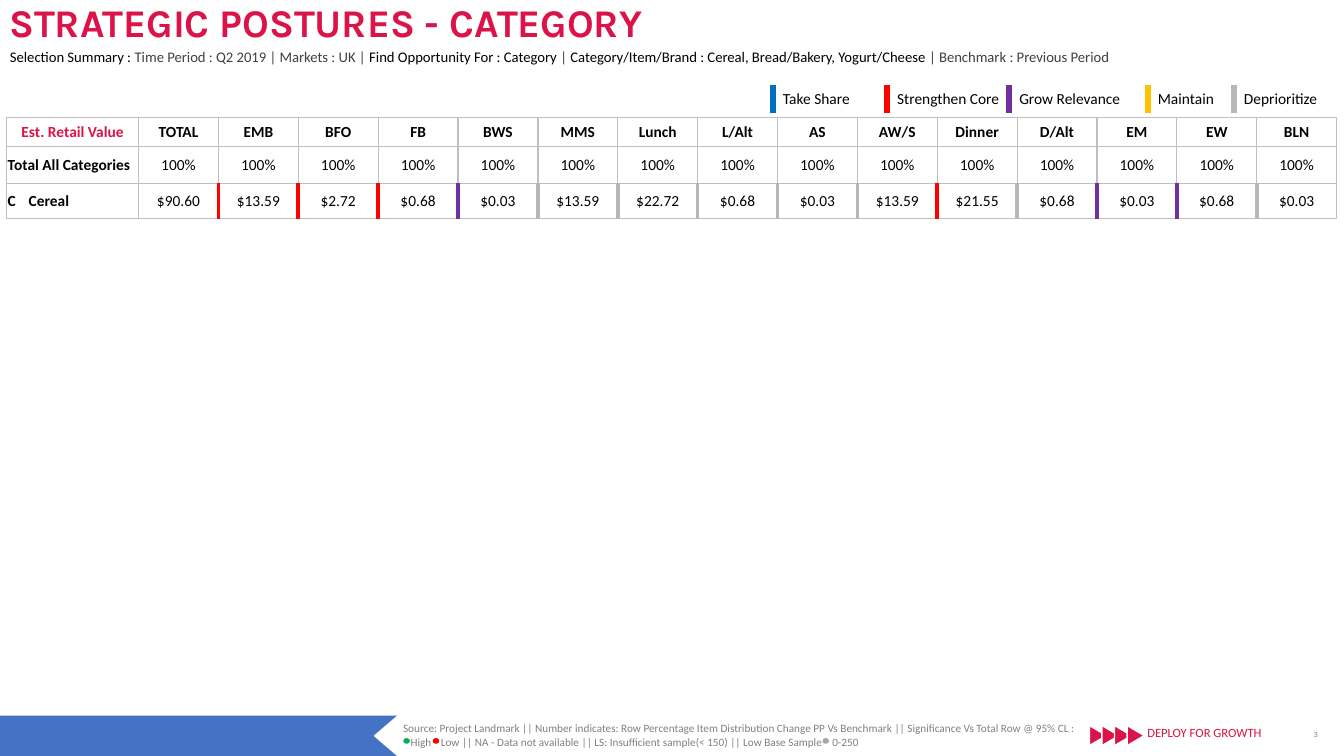
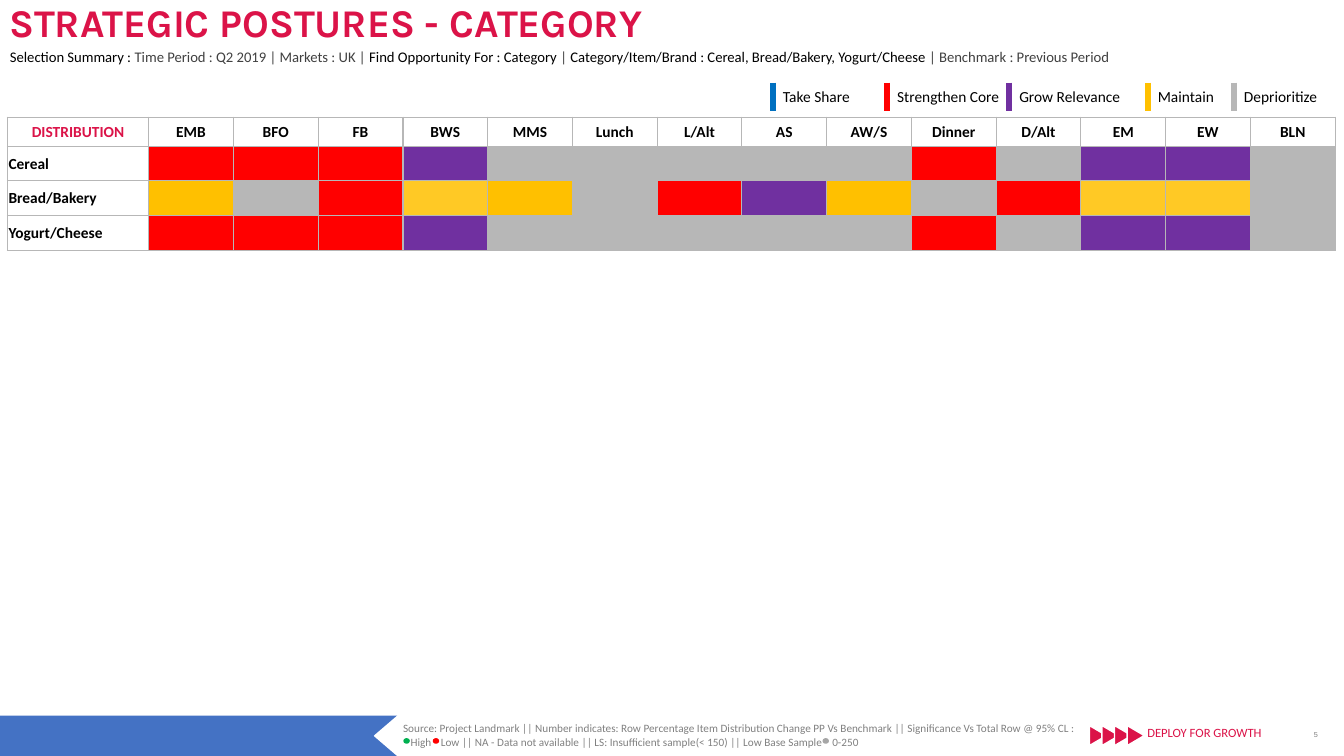
import lxml.etree
import pptx
import pptx.dml.color
import pptx.enum.shapes
import pptx.enum.text
import pptx.oxml.ns
import pptx.util

COLUMNS, ROWS = 160, 90
COLOURS = {
    "brand": "DB1348", "band": "4472C4", "white": "FFFFFF", "black": "000000",
    "dark": "404040", "muted": "808080", "rule": "BFBFBF",
    "high": "00B050", "low": "FF0000", "low base": "A6A6A6",
    "take share": "0070C0", "strengthen": "FF0000", "grow": "7030A0",
    "maintain": "FFC000", "maintain light": "FFC925", "deprioritize": "B7B7B7",
}
POSTURES = {"S": "strengthen", "G": "grow", "M": "maintain",
            "m": "maintain light", "D": "deprioritize"}
OCCASIONS = ["EMB", "BFO", "FB", "BWS", "MMS", "Lunch", "L/Alt", "AS", "AW/S",
             "Dinner", "D/Alt", "EM", "EW", "BLN"]
CATEGORY_POSTURES = {
    "Cereal": "SSSGDDDDDSDGGD",
    "Bread/Bakery": "MDSmMDSGMDSmmD",
    "Yogurt/Cheese": "SSSGDDDDDSDGGD",
}
CEREAL_VALUES = ["$90.60", "$13.59", "$2.72", "$0.68", "$0.03", "$13.59", "$22.72",
                 "$0.68", "$0.03", "$13.59", "$21.55", "$0.68", "$0.03", "$0.68", "$0.03"]
LEGEND = [("Take Share", "take share", 13.6), ("Strengthen Core", "strengthen", 14.55),
          ("Grow Relevance", "grow", 16.5), ("Maintain", "maintain", 10.25),
          ("Deprioritize", "deprioritize", 12)]
SUMMARY = [("Selection Summary : ", "black"),
           ("Time Period : Q2 2019 | Markets : UK | ", "dark"),
           ("Find Opportunity For : Category", "black"), (" | ", "dark"),
           ("Category/Item/Brand : Cereal, Bread/Bakery, Yogurt/Cheese", "black"),
           (" | Benchmark : Previous Period", "dark")]
FOOTNOTE = [
    "Source: Project Landmark || Number indicates: Row Percentage Item Distribution "
    "Change PP Vs Benchmark || Significance Vs Total Row @ 95% CL :",
    "\tHigh\tLow || NA - Data not available || LS: Insufficient sample(< 150) "
    "|| Low Base Sample\t0-250",
]
HEADER_HEIGHT = 3.45


def rgb(name):
    return pptx.dml.color.RGBColor.from_string(COLOURS[name])


def write(frame, paragraphs, size=11, font="Calibri", colour="black", bold=False,
          align="LEFT", spacing=None, tabs=()):
    """Fill a text frame; a paragraph is a string or a list of (text, colour) runs."""
    for index, content in enumerate(paragraphs):
        paragraph = frame.add_paragraph() if index else frame.paragraphs[0]
        paragraph.alignment = getattr(pptx.enum.text.PP_ALIGN, align)
        if spacing:
            paragraph.line_spacing = spacing
        if tabs:
            tab_list = lxml.etree.SubElement(paragraph._p.get_or_add_pPr(),
                                             pptx.oxml.ns.qn("a:tabLst"))
            for position in tabs:
                lxml.etree.SubElement(tab_list, pptx.oxml.ns.qn("a:tab"),
                                      pos=str(int(position)), algn="l")
        runs = [(content, colour)] if isinstance(content, str) else content
        for words, run_colour in runs:
            run = paragraph.add_run()
            run.text = words
            run.font.size = pptx.util.Pt(size)
            run.font.name = font
            run.font.bold = bold
            run.font.color.rgb = rgb(run_colour)


def set_borders(cell, **sides):
    """Draw the sides L, R, T, B given as (colour, points) and hide the others."""
    properties = cell._tc.get_or_add_tcPr()
    for side in "LRTB":
        colour, points = sides.get(side) or (None, 0)
        line = lxml.etree.SubElement(properties, pptx.oxml.ns.qn("a:ln" + side),
                                     w=str(int(pptx.util.Pt(points))))
        if colour:
            fill = lxml.etree.SubElement(line, pptx.oxml.ns.qn("a:solidFill"))
            lxml.etree.SubElement(fill, pptx.oxml.ns.qn("a:srgbClr"), val=COLOURS[colour])
        else:
            lxml.etree.SubElement(line, pptx.oxml.ns.qn("a:noFill"))


class Deck:
    """Holds the shared style and the current slide; lengths are grid units."""

    def __init__(self):
        self.presentation = pptx.Presentation()
        self.presentation.slide_width = pptx.util.Inches(13.33)
        self.presentation.slide_height = pptx.util.Inches(7.5)
        self.slide = None

    def across(self, columns):
        return int(self.presentation.slide_width * columns / COLUMNS)

    def down(self, rows):
        return int(self.presentation.slide_height * rows / ROWS)

    def box(self, left, top, width, height):
        return self.across(left), self.down(top), self.across(width), self.down(height)

    def text(self, place, paragraphs, anchor="TOP", **style):
        frame = self.slide.shapes.add_textbox(*self.box(*place)).text_frame
        frame.word_wrap = True
        frame.vertical_anchor = getattr(pptx.enum.text.MSO_ANCHOR, anchor)
        write(frame, paragraphs, **style)

    def shape(self, kind, place, fill, line=None, rotation=0):
        shape = self.slide.shapes.add_shape(
            getattr(pptx.enum.shapes.MSO_SHAPE, kind), *self.box(*place))
        shape.shadow.inherit = False
        shape.rotation = rotation
        shape.fill.solid()
        shape.fill.fore_color.rgb = rgb(fill)
        if line:
            shape.line.color.rgb = rgb(line)
            shape.line.width = pptx.util.Pt(1)
        else:
            shape.line.fill.background()

    def table(self, left, top, widths, heights):
        frame = self.slide.shapes.add_table(
            len(heights), len(widths), *self.box(left, top, sum(widths), sum(heights)))
        table = frame.table
        table.first_row = table.horz_banding = False
        for column, width in zip(table.columns, widths):
            column.width = self.across(width)
        for row, height in zip(table.rows, heights):
            row.height = self.down(height)
        return table

    def cell(self, cell, words="", fill=None, borders=None, rule="rule", **style):
        """Format a tight, centred table cell, ruled on all sides unless told."""
        cell.margin_left = cell.margin_right = cell.margin_top = pptx.util.Inches(0.01)
        cell.margin_bottom = 0
        cell.vertical_anchor = pptx.enum.text.MSO_ANCHOR.MIDDLE
        set_borders(cell, **(dict.fromkeys("LRTB", (rule, 1)) | (borders or {})))
        if fill:
            cell.fill.solid()
            cell.fill.fore_color.rgb = rgb(fill)
        else:
            cell.fill.background()
        if words:
            write(cell.text_frame, [words], **style)

    def header(self, table, labels, first_column, rule):
        """Write the bold column heads that follow the label columns."""
        for column, label in enumerate(labels, first_column):
            self.cell(table.cell(0, column), label, rule=rule, bold=True, align="CENTER")

    def legend(self, top):
        table = self.table(92, top, [width for *_, width in LEGEND], [3.4])
        colours = [colour for _, colour, _ in LEGEND] + [None]
        for index, (label, colour, _) in enumerate(LEGEND):
            cell = table.cell(0, index)
            cell.margin_right = cell.margin_bottom = 0
            following = colours[index + 1]
            set_borders(cell, L=(colour, 4.5), R=following and (following, 4.5))
            cell.fill.background()
            write(cell.text_frame, [label])

    def footer(self, number):
        self.shape("RECTANGLE", (0, 85.2, 47.3, 4.8), "band")
        self.shape("ISOSCELES_TRIANGLE", (43.6, 86.2, 4.8, 2.8), "white", "white", 270)
        for index in range(4):
            self.shape("ISOSCELES_TRIANGLE", (129.5 + 1.5 * index, 86.55, 2.4, 2.04),
                       "brand", "white", 90)
        self.text((135.4, 85.7, 19.3, 3), ["DEPLOY FOR GROWTH"], size=9, colour="brand")
        self.text((153.7, 85.7, 5.9, 3.6), [number], "MIDDLE", size=5.2, font="Arial",
                  colour="muted", align="CENTER")
        self.text((46.8, 85.3, 82.6, 4.4), FOOTNOTE, size=8, colour="muted",
                  tabs=[self.across(stop) for stop in (0.9, 4.5, 51.1)])
        for left, colour in ((48.1, "high"), (51.6, "low"), (98, "low base")):
            self.shape("FLOWCHART_CONNECTOR", (left, 87.96, 0.6, 0.5), colour, colour)

    def start_slide(self, number, legend_top):
        self.slide = self.presentation.slides.add_slide(self.presentation.slide_layouts[6])
        self.footer(number)
        self.text((-0.1, 0.25, 155.4, 5.4), ["STRATEGIC POSTURES - CATEGORY"], "MIDDLE",
                  size=28, font="Karla", colour="brand", bold=True, spacing=0.9)
        self.text((0, 4, 156.6, 5.5), [SUMMARY], "MIDDLE", size=10.5)
        self.legend(legend_top)


def add_retail_value_slide(deck):
    deck.start_slide("3", 10.1)
    labels = ["TOTAL"] + OCCASIONS
    table = deck.table(0.8, 13.95, [2.5, 13.2] + [9.51] * len(labels),
                       [HEADER_HEIGHT, 4.45, 4.2])
    deck.header(table, labels, 2, "rule")
    heads = [("Est. Retail Value", "brand", "CENTER"), ("Total All Categories", "black", "LEFT")]
    for row, (label, colour, align) in enumerate(heads):
        for column in range(2):
            deck.cell(table.cell(row, column), "" if column else label, colour=colour,
                      bold=True, align=align)
        table.cell(row, 0).merge(table.cell(row, 1))
    deck.cell(table.cell(2, 0), "C", borders={"R": None}, bold=True)
    deck.cell(table.cell(2, 1), "Cereal", borders={"L": None}, bold=True)
    edges = [(POSTURES[code], 3) for code in CATEGORY_POSTURES["Cereal"]]
    edges = [("rule", 1)] + edges + [("rule", 1)]
    for index, value in enumerate(CEREAL_VALUES):
        deck.cell(table.cell(1, index + 2), "100%", align="CENTER")
        deck.cell(table.cell(2, index + 2), value, align="CENTER",
                  borders={"L": edges[index], "R": edges[index + 1]})


def add_distribution_slide(deck):
    deck.start_slide("5", 9.85)
    rule = "deprioritize"
    table = deck.table(0.9, 13.95, [16.8] + [10.09] * len(OCCASIONS),
                       [HEADER_HEIGHT] + [4.13] * len(CATEGORY_POSTURES))
    deck.cell(table.cell(0, 0), "DISTRIBUTION", rule=rule, colour="brand", bold=True,
              align="CENTER")
    deck.header(table, OCCASIONS, 1, rule)
    for row, (category, codes) in enumerate(CATEGORY_POSTURES.items(), 1):
        deck.cell(table.cell(row, 0), category, rule=rule, bold=True)
        for column, code in enumerate(codes, 1):
            deck.cell(table.cell(row, column), fill=POSTURES[code], rule=rule)


def main():
    deck = Deck()
    add_retail_value_slide(deck)
    add_distribution_slide(deck)
    deck.presentation.save("out.pptx")


if __name__ == "__main__":
    main()
